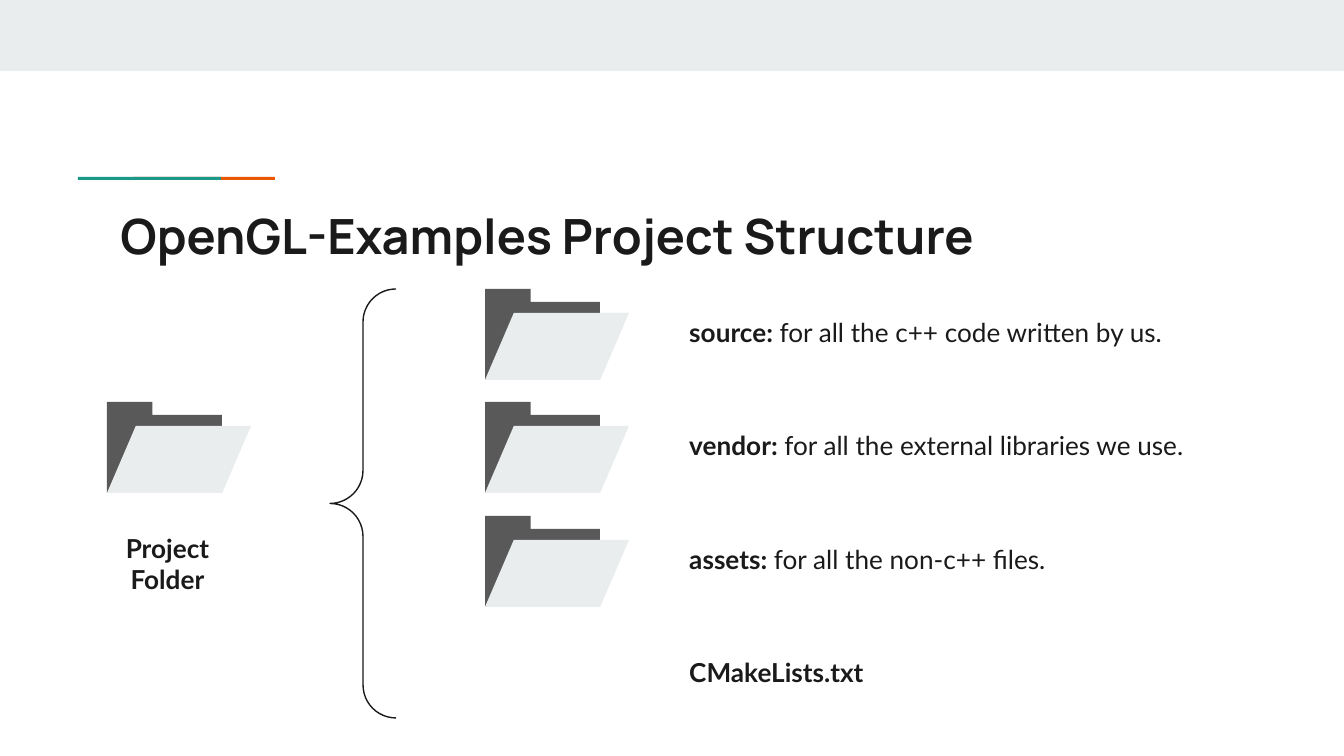
"""Build the project structure slide with folders, a brace and labels."""
import dataclasses

import pptx
import pptx.dml.color
import pptx.enum.shapes
import pptx.enum.text
import pptx.util

PX = 914400 / 134.4
COLORS = {"ink": "1A1A1A", "pale": "E9EDEE", "folder": "595959",
          "teal": "1A9988", "orange": "EB5600"}
SHAPE = pptx.enum.shapes.MSO_SHAPE
ALIGN = pptx.enum.text.PP_ALIGN
FIRST_TOP = 289
ROW_GAP = 113.5


@dataclasses.dataclass(frozen=True)
class Box:
    left: int
    top: int
    width: int
    height: int

    def emu(self) -> list[int]:
        return [px(v) for v in dataclasses.astuple(self)]


@dataclasses.dataclass(frozen=True)
class Entry:
    name: str
    purpose: str = ""


ENTRIES = [
    Entry("source: ", "for all the c++ code written by us."),
    Entry("vendor: ", "for all the external libraries we use."),
    Entry("assets: ", "for all the non-c++ files."),
    Entry("CMakeLists.txt"),
]


def px(value: float) -> int:
    return round(value * PX)


def rgb(name: str) -> pptx.dml.color.RGBColor:
    return pptx.dml.color.RGBColor.from_string(COLORS[name])


def add_filled(shapes, kind, box: Box, color: str):
    sp = shapes.add_shape(kind, *box.emu())
    sp.shadow.inherit = False
    sp.fill.solid()
    sp.fill.fore_color.rgb = rgb(color)
    sp.line.fill.background()
    return sp


def add_run(p, text: str, *, size: int = 14, font: str = "Lato",
            bold: bool = True, color: str = "ink") -> None:
    r = p.add_run()
    r.text = text
    r.font.size = pptx.util.Pt(size)
    r.font.name = font
    r.font.bold = bold
    r.font.color.rgb = rgb(color)


def prepare_frame(sp):
    tf = sp.text_frame
    tf.word_wrap = True
    tf.auto_size = pptx.enum.text.MSO_AUTO_SIZE.NONE
    tf.vertical_anchor = pptx.enum.text.MSO_ANCHOR.TOP
    tf.margin_left = tf.margin_right = pptx.util.Inches(0.1)
    tf.margin_top = tf.margin_bottom = pptx.util.Inches(0.1)
    return tf


def add_folder(s, left: int, top: int) -> None:
    group = s.shapes.add_group_shape()
    back = add_filled(group.shapes, SHAPE.CORNER, Box(left, top, 115, 91), "folder")
    back.adjustments[0] = 0.857
    back.adjustments[1] = 0.5
    add_filled(group.shapes, SHAPE.FLOWCHART_DATA,
               Box(left, top + 24, 144, 67), "pale")


def add_entry(s, entry: Entry, top: int) -> None:
    if entry.purpose:
        add_folder(s, 485, top)
    tf = prepare_frame(s.shapes.add_textbox(*Box(676, top + 14, 562, 63).emu()))
    add_run(tf.paragraphs[0], entry.name)
    if entry.purpose:
        add_run(tf.paragraphs[0], entry.purpose, bold=False)


def add_title(s) -> None:
    sp = s.shapes.title
    sp.left, sp.top, sp.width, sp.height = Box(107, 193, 1130, 79).emu()
    p = prepare_frame(sp).paragraphs[0]
    p.alignment = ALIGN.LEFT
    add_run(p, "OpenGL-Examples Project Structure", size=26, font="Manrope")


def add_project(s) -> None:
    add_folder(s, 107, int(FIRST_TOP + ROW_GAP))
    tf = prepare_frame(s.shapes.add_textbox(*Box(87, 519, 161, 91).emu()))
    for i, word in enumerate(("Project", "Folder")):
        p = tf.add_paragraph() if i else tf.paragraphs[0]
        p.alignment = ALIGN.CENTER
        add_run(p, word)


def add_brace(s) -> None:
    sp = s.shapes.add_shape(SHAPE.LEFT_BRACE, *Box(330, FIRST_TOP, 66, 429).emu())
    sp.shadow.inherit = False
    sp.adjustments[0] = 0.5
    sp.adjustments[1] = 0.5
    sp.fill.background()
    sp.line.color.rgb = rgb("ink")
    sp.line.width = pptx.util.Pt(0.75)


def main() -> None:
    prs = pptx.Presentation()
    prs.slide_width, prs.slide_height = px(1344), px(756)
    s = prs.slides.add_slide(prs.slide_layouts[5])
    add_filled(s.shapes, SHAPE.RECTANGLE, Box(0, 0, 1344, 71), "pale")
    add_filled(s.shapes, SHAPE.RECTANGLE, Box(133, 177, 142, 3), "orange")
    add_filled(s.shapes, SHAPE.RECTANGLE, Box(78, 177, 143, 3), "teal")
    add_title(s)
    for i, entry in enumerate(ENTRIES):
        add_entry(s, entry, int(FIRST_TOP + i * ROW_GAP))
    add_project(s)
    add_brace(s)
    prs.save("out.pptx")


if __name__ == "__main__":
    main()
